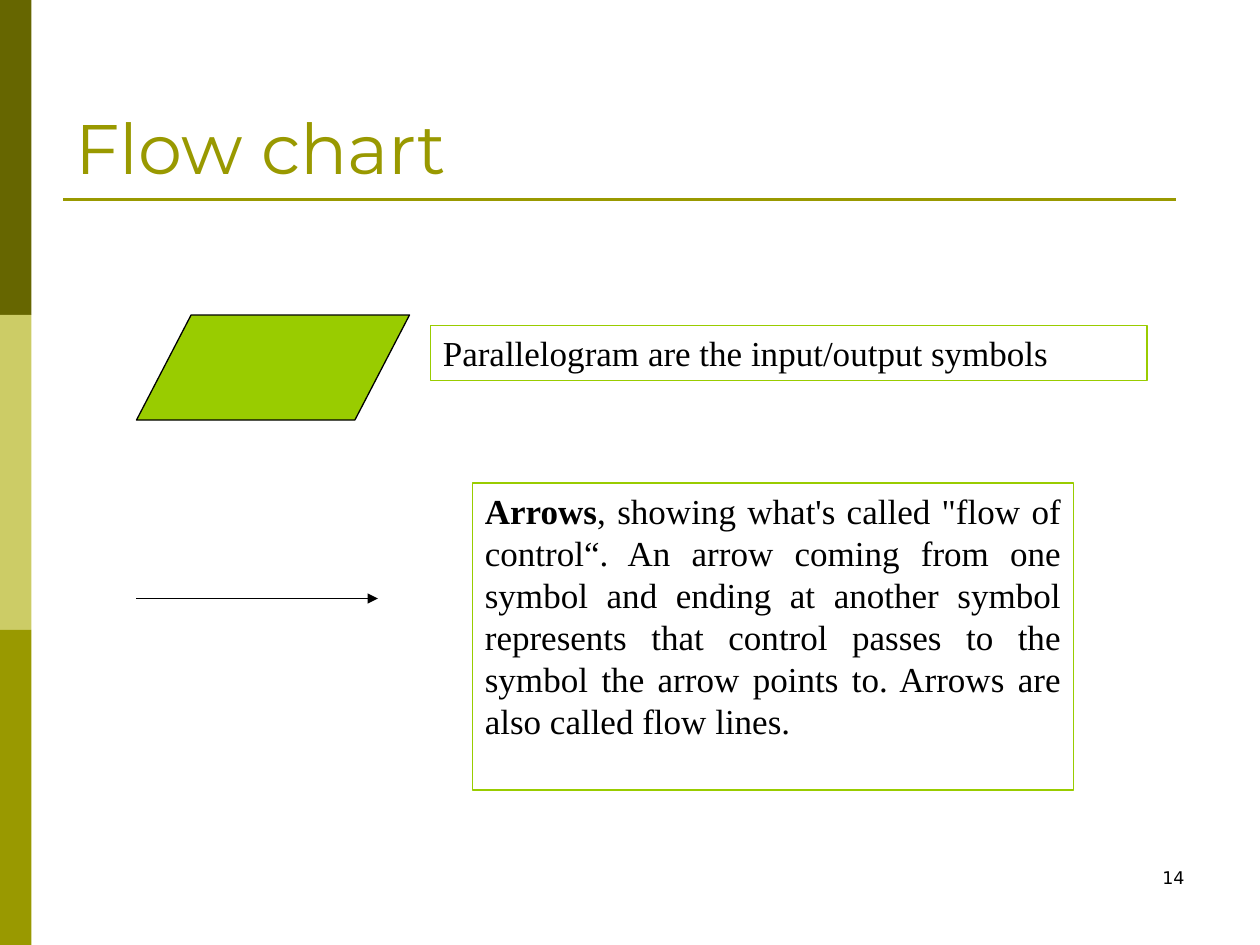
from lxml import etree
from pptx import Presentation
from pptx import util as u
from pptx.dml.color import RGBColor
from pptx.enum import shapes, text
from pptx.oxml.ns import qn

COLORS = {
    "dark": "666600", "pale": "CCCC66", "olive": "999900",
    "lime": "99CC00", "ink": "000000",
}
COLUMNS, ROWS = 120, 90
SERIF = {"name": "Times New Roman", "size": u.Pt(20)}
EXPLANATION = (
    ", showing what's called \"flow of control“. An arrow coming from one symbol "
    "and ending at another symbol represents that control passes to the symbol "
    "the arrow points to. Arrows are also called flow lines."
)


def apply(target, values):
    for key, value in values.items():
        setattr(target, key, value)


class FlowSlide:
    def __init__(self, deck):
        self.cell_w = deck.slide_width / COLUMNS
        self.cell_h = deck.slide_height / ROWS
        self.slide = deck.slides.add_slide(deck.slide_layouts[5])

    def place(self, col, row, cols, rows):
        return [u.Emu(round(n * cell)) for n, cell in zip(
            (col, row, cols, rows), (self.cell_w, self.cell_h) * 2)]

    def paint(self, color_format, color):
        color_format.rgb = RGBColor.from_string(COLORS[color])

    def outline(self, line, color, width=0.75):
        line.width = u.Pt(width)
        self.paint(line.color, color)

    def set_words(self, frame, runs, color, font, paragraph, anchor=text.MSO_ANCHOR.TOP):
        apply(frame, {"word_wrap": True, "auto_size": text.MSO_AUTO_SIZE.NONE,
                      "vertical_anchor": anchor})
        line = frame.paragraphs[0]
        apply(line, paragraph)
        for words, bold in runs:
            run = line.add_run()
            run.text = words
            apply(run.font, {**font, "bold": bold})
            self.paint(run.font.color, color)

    def title(self, words, area):
        heading = self.slide.shapes.title
        apply(heading, dict(zip(("left", "top", "width", "height"), self.place(*area))))
        self.set_words(heading.text_frame, [(words, False)], "olive",
                       {"name": "Montserrat", "size": u.Pt(40)},
                       {"alignment": text.PP_ALIGN.LEFT}, text.MSO_ANCHOR.BOTTOM)

    def symbol(self, kind, area, fill, border=None):
        figure = self.slide.shapes.add_shape(kind, *self.place(*area))
        figure.shadow.inherit = False
        figure.fill.solid()
        self.paint(figure.fill.fore_color, fill)
        if border:
            self.outline(figure.line, border)
        else:
            figure.line.fill.background()

    def note(self, runs, area, font, paragraph, border=None):
        box = self.slide.shapes.add_textbox(*self.place(*area))
        self.set_words(box.text_frame, runs, "ink", font, paragraph)
        if border:
            self.outline(box.line, border)

    def line(self, start, end, row, color, width=0.75, arrow=False):
        rule = self.slide.shapes.add_connector(
            shapes.MSO_CONNECTOR.STRAIGHT, *self.place(start, row, end, row))
        self.outline(rule.line, color, width)
        properties = rule.element.spPr
        if arrow:
            etree.SubElement(properties.find(qn("a:ln")), qn("a:tailEnd"), type="triangle")
        etree.SubElement(properties, qn("a:effectLst"))


def main():
    deck = Presentation()
    deck.slide_width, deck.slide_height = u.Inches(10), u.Inches(7.5)
    page = FlowSlide(deck)

    band = ROWS / 3
    for index, color in enumerate(("dark", "pale", "olive")):
        page.symbol(shapes.MSO_SHAPE.RECTANGLE, (0, index * band, 3, band), color)
    page.line(6, 112, 19, "olive", 1.5)
    page.title("Flow chart", (6, 3.6, 108, 15))
    page.note([("14", False)], (86, 82, 28, 6),
              {"name": "DejaVu Sans", "size": u.Pt(10)},
              {"alignment": text.PP_ALIGN.RIGHT})

    page.symbol(shapes.MSO_SHAPE.FLOWCHART_DATA, (13, 30, 26, 10), "lime", "ink")
    page.note([("Parallelogram are the input/output symbols", False)],
              (41, 31, 68.25, 5.25), SERIF, {"line_spacing": u.Pt(24)}, "lime")

    page.line(13, 36, 57, "ink", arrow=True)
    page.note([("Arrows", True), (EXPLANATION, False)], (45, 46, 57.25, 29.25), SERIF,
              {"alignment": text.PP_ALIGN.JUSTIFY, "space_before": u.Pt(5),
               "line_spacing": u.Pt(24)}, "lime")

    deck.save("out.pptx")


if __name__ == "__main__":
    main()
